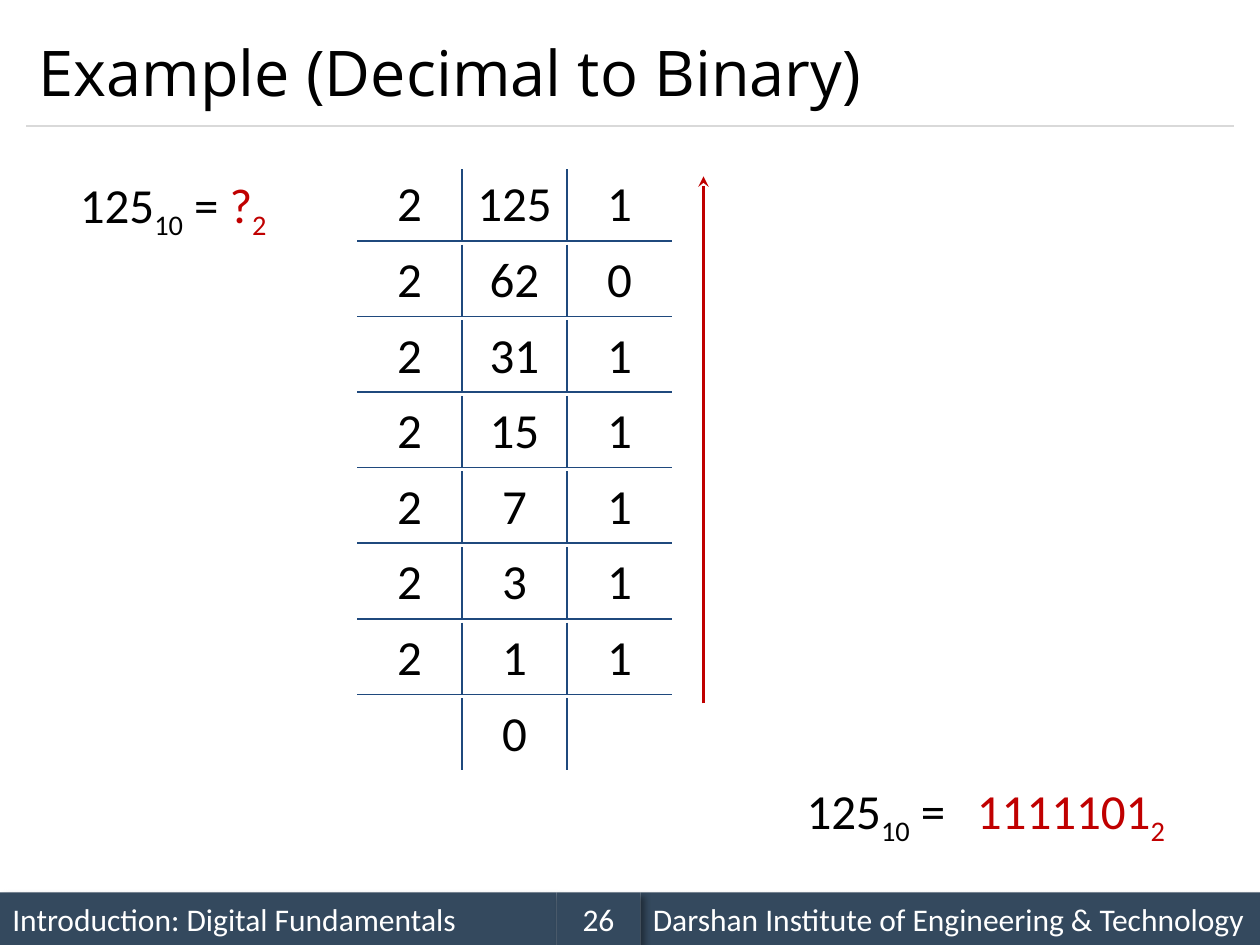
from collections import namedtuple

from lxml.etree import SubElement
from pptx import Presentation
from pptx.dml.color import RGBColor
from pptx.enum.shapes import MSO_CONNECTOR, MSO_SHAPE
from pptx.enum.text import MSO_ANCHOR, PP_ALIGN
from pptx.oxml.ns import qn
from pptx.util import Inches, Pt

UNIT = Inches(10) / 120
Box = namedtuple("Box", "left top width height")
BLACK, WHITE, RED, BLUE, SLATE, GRAY = (
    "000000", "FFFFFF", "C00000", "1F497D", "34495E", "D9D9D9")
DIVISIONS = [(2, 125, 1), (2, 62, 0), (2, 31, 1), (2, 15, 1),
             (2, 7, 1), (2, 3, 1), (2, 1, 1)]


def color(code):
    return RGBColor.from_string(code)


def grid(*units):
    return [round(unit * UNIT) for unit in units]


def add_element(parent, tag, **attributes):
    return SubElement(parent, qn(tag), attributes)


def add_span(para, text, size, code=BLACK, font="Calibri", baseline=0):
    span = para.add_run()
    span.text = text
    span.font.size = Pt(size)
    span.font.name = font
    span.font.color.rgb = color(code)
    if baseline:
        span.font._element.set("baseline", str(baseline * 1000))


def add_line(page, start, end, code, width):
    line = page.shapes.add_connector(MSO_CONNECTOR.STRAIGHT, *grid(*start, *end))
    line.line.color.rgb = color(code)
    line.line.width = Pt(width)
    add_element(line._element.spPr, "a:effectLst")
    return line


def add_title(page, box, text):
    frame = page.shapes.add_textbox(*grid(*box)).text_frame
    frame.word_wrap = True
    frame.vertical_anchor = MSO_ANCHOR.MIDDLE
    add_span(frame.paragraphs[0], text, 36, font="Open Sans")
    bottom = box.top + box.height
    add_line(page, (box.left, bottom), (box.left + box.width, bottom), GRAY, 0.75)


def add_equation(page, box, parts):
    frame = page.shapes.add_textbox(*grid(*box)).text_frame
    frame.word_wrap = True
    para = frame.paragraphs[0]
    para.alignment = PP_ALIGN.CENTER
    for text, code, baseline in parts:
        add_span(para, text, 28, code, baseline=baseline)


def add_borders(cell, sides):
    properties = cell._tc.get_or_add_tcPr()
    for position, side in enumerate("LRTB"):
        border = properties.makeelement(qn(f"a:ln{side}"), {"w": str(Pt(1))})
        if side in sides:
            fill = add_element(border, "a:solidFill")
            add_element(fill, "a:srgbClr", val=BLUE)
        else:
            add_element(border, "a:noFill")
        properties.insert(position, border)


def add_number(page, box, number, sides):
    table = page.shapes.add_table(1, 1, *grid(*box)).table
    table.first_row = table.horz_banding = False
    cell = table.cell(0, 0)
    cell.fill.background()
    para = cell.text_frame.paragraphs[0]
    para.alignment = PP_ALIGN.CENTER
    add_span(para, str(number), 28)
    add_borders(cell, sides)


def add_division_ladder(page, box):
    column = box.width / 3
    pitch = box.height / (len(DIVISIONS) + 1)
    height = pitch * 0.95
    for row, numbers in enumerate(DIVISIONS):
        for place, number in enumerate(numbers):
            cell_box = Box(box.left + place * column, box.top + row * pitch, column, height)
            add_number(page, cell_box, number, "B" if place == 2 else "RB")
    last_top = box.top + len(DIVISIONS) * pitch
    add_number(page, Box(box.left + column, last_top, column, height), 0, "LR")


def add_reading_arrow(page, box):
    arrow = add_line(page, (box.left, box.top + box.height), (box.left, box.top), RED, 2)
    add_element(arrow.line._get_or_add_ln(), "a:tailEnd", type="stealth")


def add_shadow(shape):
    effects = add_element(shape._element.spPr, "a:effectLst")
    shadow = add_element(effects, "a:outerShdw", blurRad=str(Pt(4)), dist=str(Pt(3)),
                         dir="2700000", algn="tl", rotWithShape="0")
    tint = add_element(shadow, "a:srgbClr", val=BLACK)
    add_element(tint, "a:alpha", val="40000")


def add_footer(page, box):
    parts = [
        (0, 53, "Introduction: Digital Fundamentals", PP_ALIGN.LEFT),
        (61, 59, "Darshan Institute of Engineering & Technology", PP_ALIGN.LEFT),
        (53, 8, "26", PP_ALIGN.CENTER),
    ]
    for left, width, text, alignment in parts:
        part_box = Box(box.left + left, box.top, width, box.height)
        bar = page.shapes.add_shape(MSO_SHAPE.RECTANGLE, *grid(*part_box))
        bar.fill.solid()
        bar.fill.fore_color.rgb = color(SLATE)
        bar.line.fill.background()
        add_shadow(bar)
        frame = bar.text_frame
        frame.word_wrap = True
        frame.vertical_anchor = MSO_ANCHOR.MIDDLE
        para = frame.paragraphs[0]
        para.alignment = alignment
        add_span(para, text, 18, WHITE)


def main():
    deck = Presentation()
    deck.slide_width, deck.slide_height = grid(120, 90)
    page = deck.slides.add_slide(deck.slide_layouts[6])
    decimal = [("125", BLACK, 0), ("10", BLACK, -25), (" = ", BLACK, 0)]
    add_footer(page, Box(0, 85, 120, 5))
    add_title(page, Box(2.5, 1.5, 115, 10.5), "Example (Decimal to Binary)")
    add_equation(page, Box(3, 16, 27, 6.87), decimal + [("?", RED, 0), ("2", RED, -25)])
    add_division_ladder(page, Box(34, 16.1, 30, 57.6))
    add_equation(page, Box(75, 73.7, 17.9, 6.87), decimal)
    add_reading_arrow(page, Box(67, 16.8, 0, 50.2))
    add_equation(page, Box(90.1, 73.7, 23.8, 6.87), [("1111101", RED, 0), ("2", RED, -25)])
    deck.save("out.pptx")


if __name__ == "__main__":
    main()
